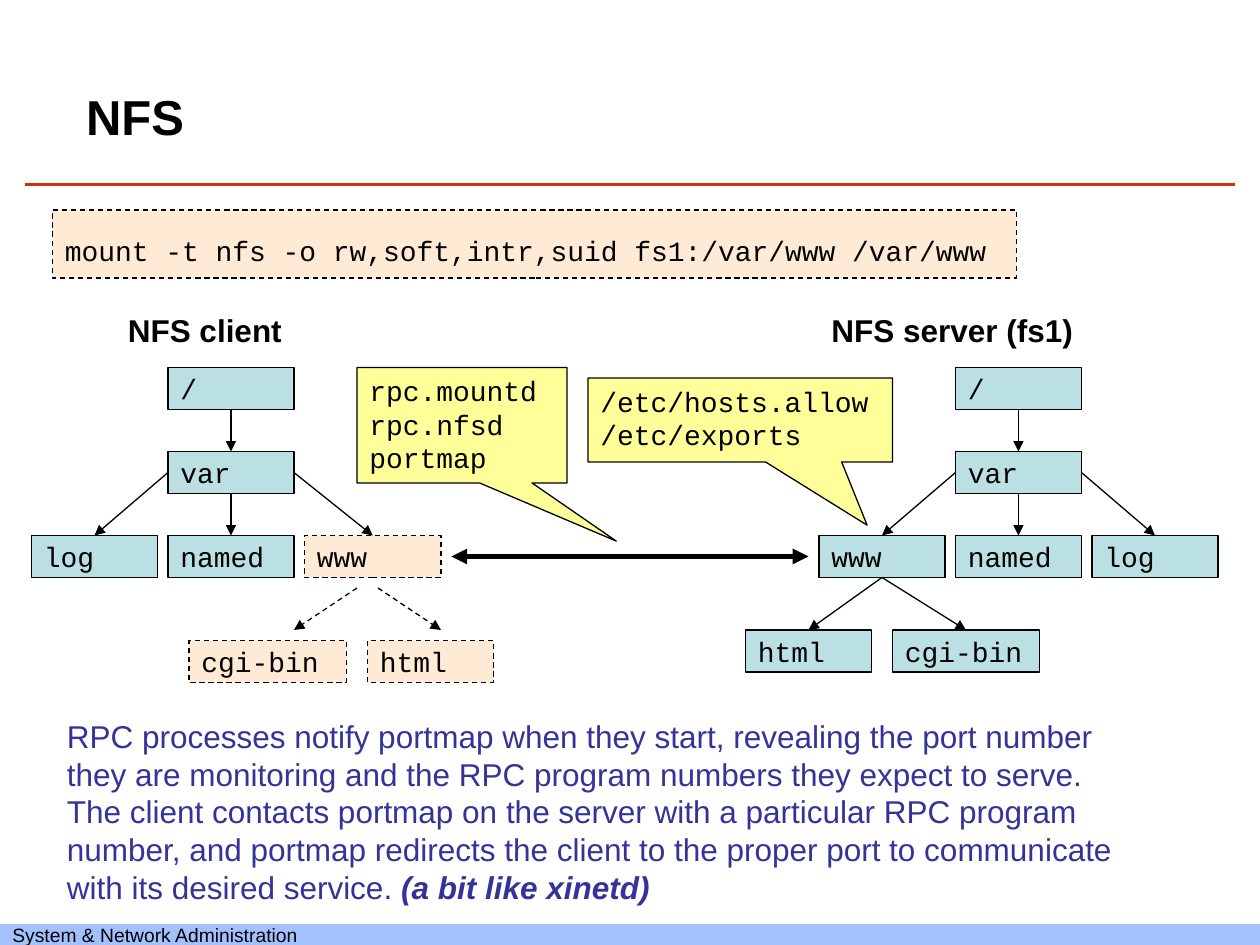
from lxml import etree
from pptx import Presentation
from pptx.dml.color import RGBColor
from pptx.enum.dml import MSO_LINE
from pptx.enum.shapes import MSO_CONNECTOR, MSO_SHAPE
from pptx.enum.text import MSO_ANCHOR, MSO_AUTO_SIZE, PP_ALIGN
from pptx.oxml.ns import qn
from pptx.util import Pt

RECTANGLE = MSO_SHAPE.RECTANGLE
CALLOUT = MSO_SHAPE.RECTANGULAR_CALLOUT
STRAIGHT = MSO_CONNECTOR.STRAIGHT
DASH = MSO_LINE.DASH
TOP, MIDDLE = MSO_ANCHOR.TOP, MSO_ANCHOR.MIDDLE
LEFT = PP_ALIGN.LEFT
NO_FIT = MSO_AUTO_SIZE.NONE

BLACK, TEAL, PEACH, YELLOW = "000000", "BBE0E3", "FFCC99", "FFFF99"
NODE_WIDTH, NODE_HEIGHT, COLUMN_STEP, ROW_STEP = 72, 24, 78, 48


def color(value):
    return RGBColor.from_string(value)


def write(shape, text, size, font="Arial", ink=BLACK, bold=False, anchor=TOP, wrap=True):
    frame = shape.text_frame
    frame.text = text
    frame.word_wrap = wrap
    frame.auto_size = NO_FIT
    frame.vertical_anchor = anchor
    for para in frame.paragraphs:
        para.alignment = LEFT
        para.space_before = Pt(0)
        for span in para.runs:
            span.font.name = font
            span.font.size = Pt(size)
            span.font.bold = bold
            span.font.color.rgb = color(ink)


def place(shape, box):
    shape.left, shape.top, shape.width, shape.height = [Pt(value) for value in box]


def add_box(page, box, fill, kind=RECTANGLE, dashed=False, outlined=True):
    shape = page.shapes.add_shape(kind, *[Pt(value) for value in box])
    shape.shadow.inherit = False
    shape.fill.solid()
    shape.fill.fore_color.rgb = color(fill)
    if outlined:
        shape.line.color.rgb = color(BLACK)
        shape.line.width = Pt(0.75)
    else:
        shape.line.fill.background()
    if dashed:
        shape.line.dash_style = DASH
        tint = shape.fill._xPr.find(qn("a:solidFill"))[0]
        etree.SubElement(tint, qn("a:alpha")).set("val", "40000")
    return shape


def add_line(page, start, end, width=0.75, ink=BLACK, dashed=False, ends=("tailEnd",)):
    line = page.shapes.add_connector(STRAIGHT, *[Pt(value) for value in (*start, *end)])
    line.line.color.rgb = color(ink)
    line.line.width = Pt(width)
    if dashed:
        line.line.dash_style = DASH
    properties = line._element.spPr
    for name in ends:
        etree.SubElement(properties.find(qn("a:ln")), qn("a:" + name)).set("type", "triangle")
    etree.SubElement(properties, qn("a:effectLst"))


def add_node(page, box, name, dashed=False):
    node = add_box(page, box, PEACH if dashed else TEAL, dashed=dashed)
    write(node, name, 16, "Courier New", anchor=MIDDLE, wrap=False)


def add_tree(page, left, top, folders):
    middle = left + COLUMN_STEP
    center = middle + NODE_WIDTH / 2
    var_top, folder_top = top + ROW_STEP, top + 2 * ROW_STEP
    var_side = var_top + NODE_HEIGHT / 2
    add_node(page, (middle, top, NODE_WIDTH, NODE_HEIGHT), "/")
    add_node(page, (middle, var_top, NODE_WIDTH, NODE_HEIGHT), "var")
    add_line(page, (center, top + NODE_HEIGHT), (center, var_top))
    starts = [(middle, var_side), (center, var_top + NODE_HEIGHT), (middle + NODE_WIDTH, var_side)]
    for column, ((name, width, dashed), start) in enumerate(zip(folders, starts)):
        folder_left = left + column * COLUMN_STEP
        add_node(page, (folder_left, folder_top, width, NODE_HEIGHT), name, dashed)
        add_line(page, start, (folder_left + width / 2, folder_top))


def add_client(page, left, top):
    add_tree(page, left, top, [("log", 72, False), ("named", 72, False), ("www", 78, True)])
    for name, offset, width, start, end in [("cgi-bin", 90, 90, 186, 150), ("html", 192, 72, 198, 234)]:
        add_node(page, (left + offset, top + 156, width, NODE_HEIGHT), name, True)
        add_line(page, (left + start, top + 126), (left + end, top + 150), dashed=True)


def add_server(page, left, top):
    add_tree(page, left, top, [("www", 72, False), ("named", 72, False), ("log", 72, False)])
    for name, offset, width in [("html", -42, 72), ("cgi-bin", 42, 84)]:
        add_node(page, (left + offset, top + 150, width, NODE_HEIGHT), name)
        add_line(page, (left + 36, top + 120), (left + offset + width / 2, top + 150))


def add_callout(page, box, text, pointer):
    callout = add_box(page, box, YELLOW, CALLOUT)
    for index, value in enumerate(pointer):
        callout.adjustments[index] = value
    write(callout, text, 16, "Courier New")


def add_heading(page, box, text):
    heading = page.shapes.add_textbox(*[Pt(value) for value in box])
    write(heading, text, 18, bold=True)


def add_command(page, box):
    command = add_box(page, box, PEACH, dashed=True)
    write(command, "mount -t nfs -o rw,soft,intr,suid fs1:/var/www /var/www", 16,
          "Courier New", anchor=MIDDLE, wrap=False)
    command.text_frame.margin_top = Pt(10.5)


def add_title(page, box):
    title = page.shapes.title
    place(title, box)
    write(title, "NFS", 28, bold=True, anchor=MIDDLE)


def add_explanation(page, box):
    body = page.placeholders[1]
    place(body, box)
    write(body, "RPC processes notify portmap when they start, revealing the port number "
          "they are monitoring and the RPC program numbers they expect to serve. \n"
          "The client contacts portmap on the server with a particular RPC program number, "
          "and portmap redirects the client to the proper port to communicate with its "
          "desired service. ", 18, ink="333399")
    paragraphs = body.text_frame.paragraphs
    for para in paragraphs:
        properties = para._p.get_or_add_pPr()
        properties.set("marL", "0")
        properties.set("indent", "0")
        etree.SubElement(properties, qn("a:buNone"))
    span = paragraphs[-1].add_run()
    span.text = "(a bit like xinetd)"
    span.font.name = "Arial"
    span.font.size = Pt(18)
    span.font.bold = span.font.italic = True
    span.font.color.rgb = color("333399")


def add_footer(page, box):
    footer = add_box(page, box, "A2C1FE", outlined=False)
    write(footer, "System & Network Administration", 11, anchor=MIDDLE, wrap=False)


deck = Presentation()
deck.slide_width, deck.slide_height = Pt(720), Pt(540)
page = deck.slides.add_slide(deck.slide_layouts[1])

add_line(page, (14.4, 105.6), (705.6, 105.6), 1.5, "CC3300", ends=())
add_footer(page, (0, 528, 720, 12))
add_title(page, (42, 45.5, 636, 41))
add_command(page, (30, 120, 551, 39))
add_heading(page, (66, 174, 138, 29), "NFS client")
add_heading(page, (468, 174, 210, 29), "NFS server (fs1)")
add_line(page, (258, 318), (462, 318), 3, ends=("headEnd", "tailEnd"))
add_server(page, 468, 210)
add_client(page, 18, 210)
add_callout(page, (204, 210, 120, 66), "rpc.mountd\nrpc.nfsd\nportmap", (0.735, 1.004))
add_callout(page, (336, 216, 174, 48), "/etc/hosts.allow\n/etc/exports", (0.417, 1.253))
add_explanation(page, (31, 406, 635, 115))

deck.save("out.pptx")
